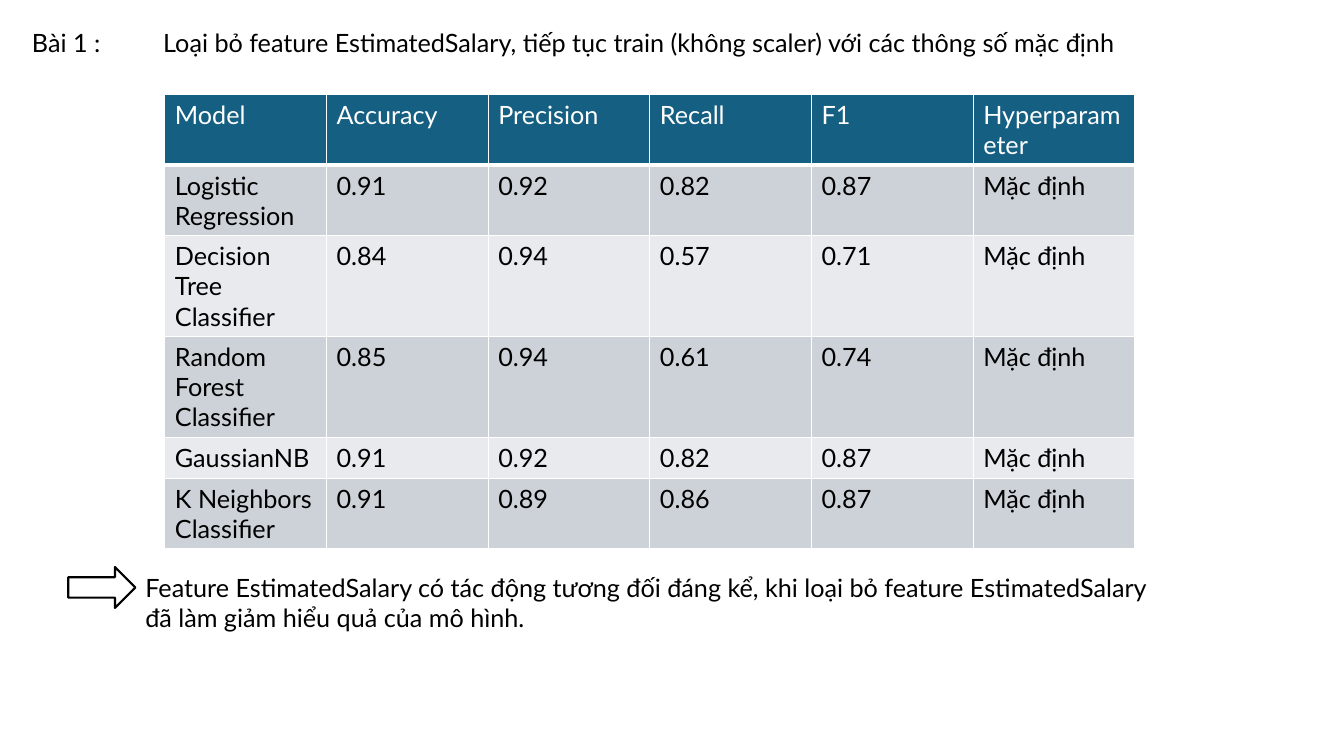
from lxml.etree import SubElement
from pptx import Presentation
from pptx.dml.color import RGBColor
from pptx.enum.shapes import MSO_SHAPE as Shape
from pptx.enum.text import MSO_AUTO_SIZE as AutoSize
from pptx.oxml.ns import qn
from pptx.util import Pt

PX = 9525  # EMU per px, 96 px to the inch
FONT = "Lato"
WHITE = RGBColor(0xFF, 0xFF, 0xFF)
BLACK = RGBColor(0x00, 0x00, 0x00)
HEADER = RGBColor(0x15, 0x60, 0x82)
BAND_DARK = RGBColor(0xCC, 0xD2, 0xD8)
BAND_LIGHT = RGBColor(0xE8, 0xEA, 0xED)

COLUMN_WIDTH = 154
ROW_HEIGHT = 39
HEADINGS = ["Model", "Accuracy", "Precision", "Recall", "F1", "Hyperparameter"]
SCORES = [
    ["Logistic Regression", "0.91", "0.92", "0.82", "0.87"],
    ["Decision Tree Classifier", "0.84", "0.94", "0.57", "0.71"],
    ["Random Forest Classifier", "0.85", "0.94", "0.61", "0.74"],
    ["GaussianNB", "0.91", "0.92", "0.82", "0.87"],
    ["K Neighbors Classifier", "0.91", "0.89", "0.86", "0.87"],
]
TITLE = ("Loại bỏ feature EstimatedSalary, tiếp tục train (không scaler) "
         "với các thông số mặc định")
CONCLUSION = ("Feature EstimatedSalary có tác động tương đối đáng kể, khi loại bỏ "
              "feature EstimatedSalary đã làm giảm hiểu quả của mô hình.")


def px(*lengths):
    return [length * PX for length in lengths]


def write(tf, text, size=18, color=BLACK, bold=False):
    r = tf.paragraphs[0].add_run()
    r.text = text
    r.font.name = FONT
    r.font.size = Pt(size)
    r.font.bold = bold
    r.font.color.rgb = color


def add_text(s, text, box, wrap=True):
    tf = s.shapes.add_textbox(*px(*box)).text_frame
    tf.word_wrap = wrap
    tf.auto_size = AutoSize.SHAPE_TO_FIT_TEXT
    write(tf, text)


def set_borders(cell, bottom):
    """Draw white cell borders, 1 pt wide except for the bottom one."""
    tcPr = cell._tc.get_or_add_tcPr()
    for tag, width in (("lnL", 1), ("lnR", 1), ("lnT", 1), ("lnB", bottom)):
        ln = SubElement(tcPr, qn(f"a:{tag}"), w=str(Pt(width)))
        fill = SubElement(ln, qn("a:solidFill"))
        SubElement(fill, qn("a:srgbClr"), val=str(WHITE))


def add_score_table(s, left, top):
    rows = [HEADINGS] + [scores + ["Mặc định"] for scores in SCORES]
    size = COLUMN_WIDTH * len(HEADINGS), ROW_HEIGHT * len(rows)
    table = s.shapes.add_table(len(rows), len(HEADINGS), *px(left, top, *size)).table
    for column in table.columns:
        column.width = COLUMN_WIDTH * PX
    for i, row in enumerate(rows):
        is_header = i == 0
        band = BAND_DARK if i % 2 else BAND_LIGHT
        for j, text in enumerate(row):
            cell = table.cell(i, j)
            set_borders(cell, bottom=3 if is_header else 1)
            cell.fill.solid()
            cell.fill.fore_color.rgb = HEADER if is_header else band
            write(cell.text_frame, text, color=WHITE if is_header else BLACK)


def add_arrow(s, box):
    arrow = s.shapes.add_shape(Shape.RIGHT_ARROW, *px(*box))
    arrow.shadow.inherit = False
    arrow.fill.solid()
    arrow.fill.fore_color.rgb = WHITE
    arrow.line.color.rgb = BLACK
    arrow.line.width = Pt(1.5)


def main():
    prs = Presentation()
    prs.slide_width, prs.slide_height = px(1280, 720)
    s = prs.slides.add_slide(prs.slide_layouts[6])
    add_score_table(s, 157, 90)
    add_text(s, CONCLUSION, (129, 540, 982, 68))
    add_arrow(s, (65, 540, 64, 39))
    add_text(s, "Bài 1 :", (21, 21, 87, 39), wrap=False)
    add_text(s, TITLE, (146, 21, 1019, 39))
    prs.save("out.pptx")


if __name__ == "__main__":
    main()
